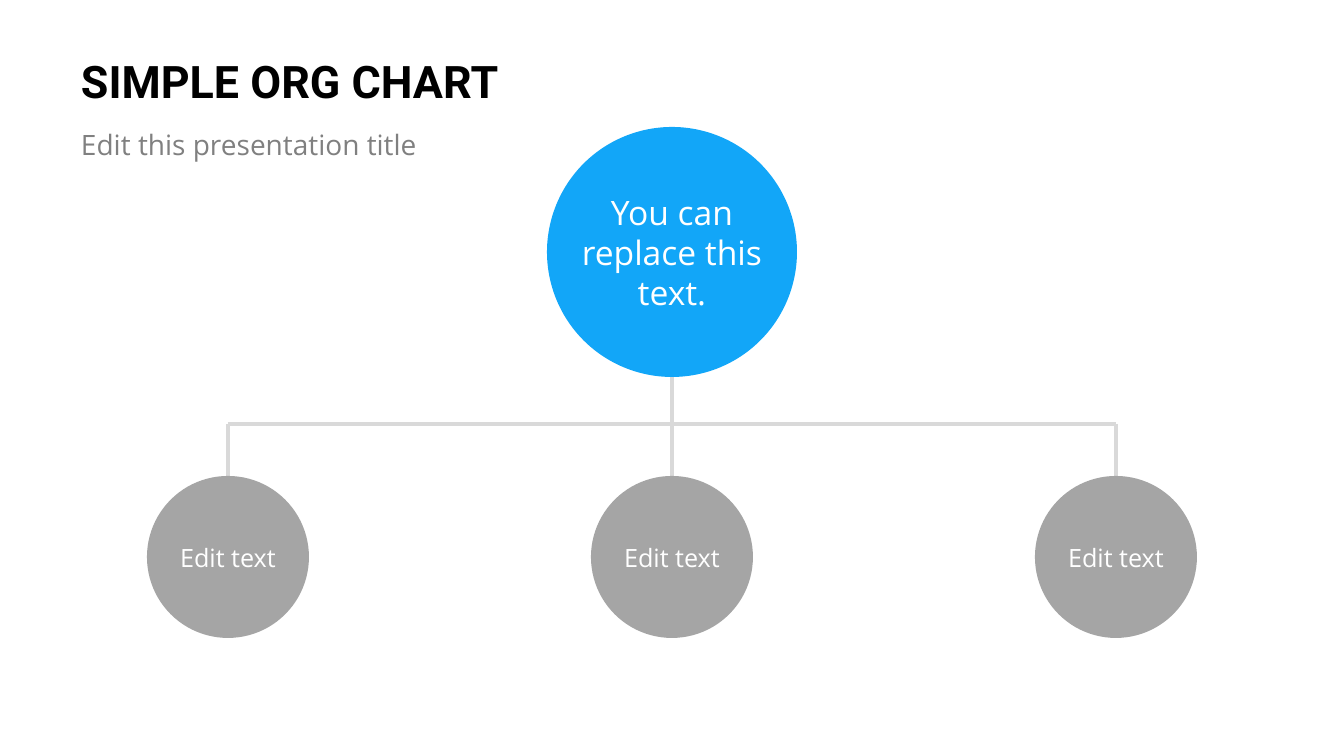
import pptx
import pptx.util
import pptx.dml.color
import pptx.enum.shapes
import pptx.enum.text
import pptx.oxml
from dataclasses import dataclass

# Content
TITLE = "SIMPLE ORG CHART"
SUBTITLE = "Edit this presentation title"
ROOT = "You can replace this text."
CHILDREN = ["Edit text", "Edit text", "Edit text"]


@dataclass(frozen=True)
class Theme:
    heading_font: str = "Roboto"
    body_font: str = "Open Sans"
    title_color: str = "000000"
    subtitle_color: str = "808080"
    label_color: str = "FFFFFF"
    root_fill: str = "12A6F8"
    child_fill: str = "A5A5A5"
    line_color: str = "D9D9D9"
    line_width: int = 3
    title_size: int = 32
    subtitle_size: int = 20
    root_size: int = 24
    child_size: int = 18


THEME = Theme()

# Layout in px
EMU_PER_PX = 914400 / 100.8
PAGE_WIDTH, PAGE_HEIGHT = 1344, 756
CENTER_X = PAGE_WIDTH // 2
CHILD_GAP = 444
ROOT_TOP, ROOT_SIZE = 127, 250
BAR_Y = 424
CHILD_TOP, CHILD_SIZE = 476, 162


def px(length):
    return pptx.util.Emu(round(length * EMU_PER_PX))


def rgb(color):
    return pptx.dml.color.RGBColor.from_string(color)


def add_text(page, text, left, top, width, height, *, size, color,
             font=THEME.body_font, bold=False, align="LEFT", anchor="MIDDLE",
             inset=(10, 5)):
    box = page.shapes.add_textbox(px(left), px(top), px(width), px(height))
    frame = box.text_frame
    frame.word_wrap = True
    frame.vertical_anchor = getattr(pptx.enum.text.MSO_ANCHOR, anchor)
    frame.margin_left = frame.margin_right = px(inset[0])
    frame.margin_top = frame.margin_bottom = px(inset[1])
    para = frame.paragraphs[0]
    para.alignment = getattr(pptx.enum.text.PP_ALIGN, align)
    span = para.add_run()
    span.text = text
    span.font.name = font
    span.font.size = pptx.util.Pt(size)
    span.font.bold = bold
    span.font.color.rgb = rgb(color)


def add_line(page, x1, y1, x2, y2):
    line = page.shapes.add_connector(
        pptx.enum.shapes.MSO_CONNECTOR.STRAIGHT, px(x1), px(y1), px(x2), px(y2))
    line.line.color.rgb = rgb(THEME.line_color)
    line.line.width = pptx.util.Pt(THEME.line_width)
    properties = line._element.spPr
    properties.append(pptx.oxml.parse_xml(
        '<a:effectLst xmlns:a="http://schemas.openxmlformats.org/drawingml/2006/main"/>'))
    return line


def add_node(page, text, center_x, top, diameter, *, fill, size, label_width, label_height):
    circle = page.shapes.add_shape(
        pptx.enum.shapes.MSO_SHAPE.OVAL,
        px(center_x - diameter / 2), px(top), px(diameter), px(diameter))
    circle.shadow.inherit = False
    circle.fill.solid()
    circle.fill.fore_color.rgb = rgb(fill)
    circle.line.fill.background()
    add_text(page, text, center_x - label_width / 2, top + (diameter - label_height) / 2,
             label_width, label_height, size=size, color=THEME.label_color, align="CENTER")
    return circle


def main():
    deck = pptx.Presentation()
    deck.slide_width, deck.slide_height = px(PAGE_WIDTH), px(PAGE_HEIGHT)
    page = deck.slides.add_slide(deck.slide_layouts[6])

    # Heading
    add_text(page, TITLE, 68, 41, 857, 79, size=THEME.title_size, bold=True,
             color=THEME.title_color, font=THEME.heading_font, inset=(13, 7))
    add_text(page, SUBTITLE, 68, 120, 436, 56, size=THEME.subtitle_size,
             color=THEME.subtitle_color, anchor="TOP", inset=(13, 7))

    # Trunk and crossbar
    middle = (len(CHILDREN) - 1) / 2
    centers = [CENTER_X + (index - middle) * CHILD_GAP for index in range(len(CHILDREN))]
    add_line(page, centers[0], BAR_Y, centers[-1], BAR_Y)
    add_line(page, CENTER_X, ROOT_TOP + ROOT_SIZE, CENTER_X, BAR_Y)

    # Nodes
    add_node(page, ROOT, CENTER_X, ROOT_TOP, ROOT_SIZE, fill=THEME.root_fill,
             size=THEME.root_size, label_width=232, label_height=132)
    for text, center_x in zip(CHILDREN, centers):
        branch = add_line(page, center_x, BAR_Y, center_x, CHILD_TOP)
        circle = add_node(page, text, center_x, CHILD_TOP, CHILD_SIZE, fill=THEME.child_fill,
                          size=THEME.child_size, label_width=170, label_height=40)
        branch.end_connect(circle, 0)

    deck.save("out.pptx")


if __name__ == "__main__":
    main()
